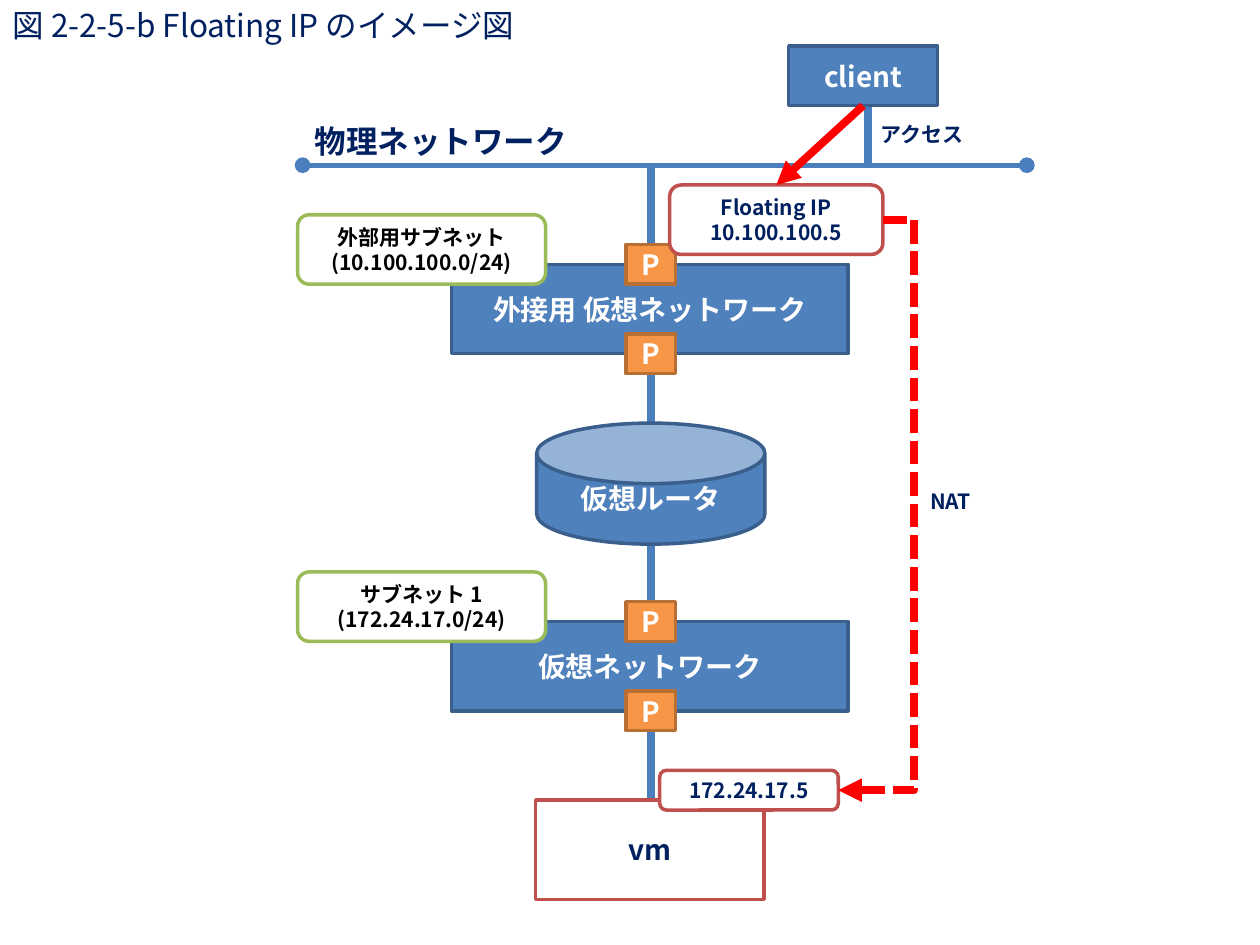
import pptx
import pptx.util
import pptx.dml.color
import pptx.enum.dml
import pptx.enum.shapes
import pptx.enum.text
import pptx.oxml.ns
from lxml import etree

Cm, Pt = pptx.util.Cm, pptx.util.Pt
rgb = pptx.dml.color.RGBColor.from_string
qn = pptx.oxml.ns.qn
MSO = pptx.enum.shapes.MSO_SHAPE
LINK = pptx.enum.shapes.MSO_CONNECTOR
ALIGN = pptx.enum.text.PP_ALIGN
ANCHOR = pptx.enum.text.MSO_ANCHOR
FONT = "Noto Sans CJK JP"
NAVY, BLUE, WIRE, RED = "002060", "4F81BD", "4B7EBC", "FF0000"


def write(sp, text, size, color, bold=True, align=ALIGN.LEFT, anchor=ANCHOR.TOP):
    """Put formatted text into a shape."""
    tf = sp.text_frame
    tf.text = text
    tf.word_wrap = True
    tf.vertical_anchor = anchor
    for p in tf.paragraphs:
        p.alignment = align
        for r in p.runs:
            r.font.size = Pt(size)
            r.font.bold = bold
            r.font.color.rgb = rgb(color)
            r.font.name = FONT
            ea = etree.SubElement(r.font._element, qn("a:ea"))
            ea.set("typeface", FONT)


def connect(kind, x1, y1, x2, y2, color, width, head=None, tail=None):
    """Draw a connector with optional ends and return it."""
    c = s.shapes.add_connector(kind, Cm(x1), Cm(y1), Cm(x2), Cm(y2))
    c.line.color.rgb = rgb(color)
    c.line.width = Pt(width)
    ln = c.line._get_or_add_ln()
    for tag, end in (("a:headEnd", head), ("a:tailEnd", tail)):
        if end:
            etree.SubElement(ln, qn(tag)).set("type", end)
    etree.SubElement(c._element.spPr, qn("a:effectLst"))
    return c


prs = pptx.Presentation()
prs.slide_width, prs.slide_height = Cm(25.4), Cm(19.05)
s = prs.slides.add_slide(prs.slide_layouts[5])

title = s.shapes.title
title.left, title.top, title.width, title.height = Cm(0), Cm(0), Cm(23.5), Cm(1.02)
write(title, "図 2-2-5-b Floating IP のイメージ図", 18, NAVY, bold=False)
title.text_frame.auto_size = pptx.enum.text.MSO_AUTO_SIZE.NONE

# Physical network and the vertical links
connect(LINK.STRAIGHT, 6.1, 3.33, 20.7, 3.33, WIRE, 3, "oval", "oval")
axis = 13.12
for x, y1, y2 in ((axis, 3.33, 4.93), (axis, 7.53, 8.53), (axis, 10.97, 12.12),
                  (axis, 14.72, 16.13), (17.5, 2.13, 3.33)):
    connect(LINK.STRAIGHT, x, y1, x, y2, WIRE, 4.5)

# style: fill, line, text colour, text size
solid = (BLUE, "3A5F8C", "FFFFFF", 16)
port = ("F79646", "B76F34", "FFFFFF", 16)
subnet = ("FFFFFF", "9BBB59", "000000", 12)
address = ("FFFFFF", "C0504D", NAVY, 12)
machine = ("FFFFFF", "C0504D", NAVY, 16)

boxes = [
    (MSO.RECTANGLE, 15.9, 0.93, 3, 1.2, "client", solid),
    (MSO.CAN, 10.82, 8.53, 4.6, 2.44, "仮想ルータ", solid),
    (MSO.RECTANGLE, 10.8, 16.13, 4.6, 2, "vm", machine),
]
for top, name, subnet_text in (
        (5.33, "外接用 仮想ネットワーク", "外部用サブネット\n(10.100.100.0/24)"),
        (12.53, "仮想ネットワーク", "サブネット 1\n(172.24.17.0/24)")):
    boxes.append((MSO.RECTANGLE, 9.1, top, 8, 1.8, name, solid))
    boxes.append((MSO.ROUNDED_RECTANGLE, 6, top - 1, 5, 1.4, subnet_text, subnet))
    for edge in (top, top + 1.8):
        boxes.append((MSO.RECTANGLE, axis - 0.5, edge - 0.4, 1, 0.8, "P", port))
boxes += [
    (MSO.ROUNDED_RECTANGLE, 13.5, 3.73, 4.3, 1.4, "Floating IP\n10.100.100.5", address),
    (MSO.ROUNDED_RECTANGLE, 13.3, 15.53, 3.6, 0.8, "172.24.17.5", address),
]
for kind, x, y, w, h, text, (fill, line, color, size) in boxes:
    sp = s.shapes.add_shape(kind, Cm(x), Cm(y), Cm(w), Cm(h))
    sp.shadow.inherit = False
    sp.fill.solid()
    sp.fill.fore_color.rgb = rgb(fill)
    sp.line.color.rgb = rgb(line)
    sp.line.width = Pt(2)
    if kind == MSO.CAN:
        sp.adjustments[0] = 0.5
    write(sp, text, size, color, align=ALIGN.CENTER, anchor=ANCHOR.MIDDLE)

# Access and NAT arrows
connect(LINK.STRAIGHT, 17.4, 2.13, 15.65, 3.73, RED, 4.5, tail="triangle")
nat = connect(LINK.ELBOW, 17.8, 4.43, 16.9, 15.93, RED, 4.5, tail="triangle")
nat.line.dash_style = pptx.enum.dml.MSO_LINE.SQUARE_DOT
geom = nat._element.spPr.find(qn("a:prstGeom"))
av = geom.find(qn("a:avLst"))
if av is None:
    av = etree.SubElement(geom, qn("a:avLst"))
gd = etree.SubElement(av, qn("a:gd"))
gd.set("name", "adj1")
gd.set("fmla", "val -70400")

# One-line labels, each box wide enough for its text
for x, y, w, h, text, size in ((6.1, 2.33, 5.7, 1.02, "物理ネットワーク", 18),
                               (17.5, 2.33, 2.4, 0.77, "アクセス", 12),
                               (18.5, 9.73, 1.42, 0.77, "NAT", 12)):
    tb = s.shapes.add_textbox(Cm(x), Cm(y), Cm(w), Cm(h))
    write(tb, text, size, NAVY)
    tb.text_frame.word_wrap = False

prs.save("out.pptx")
